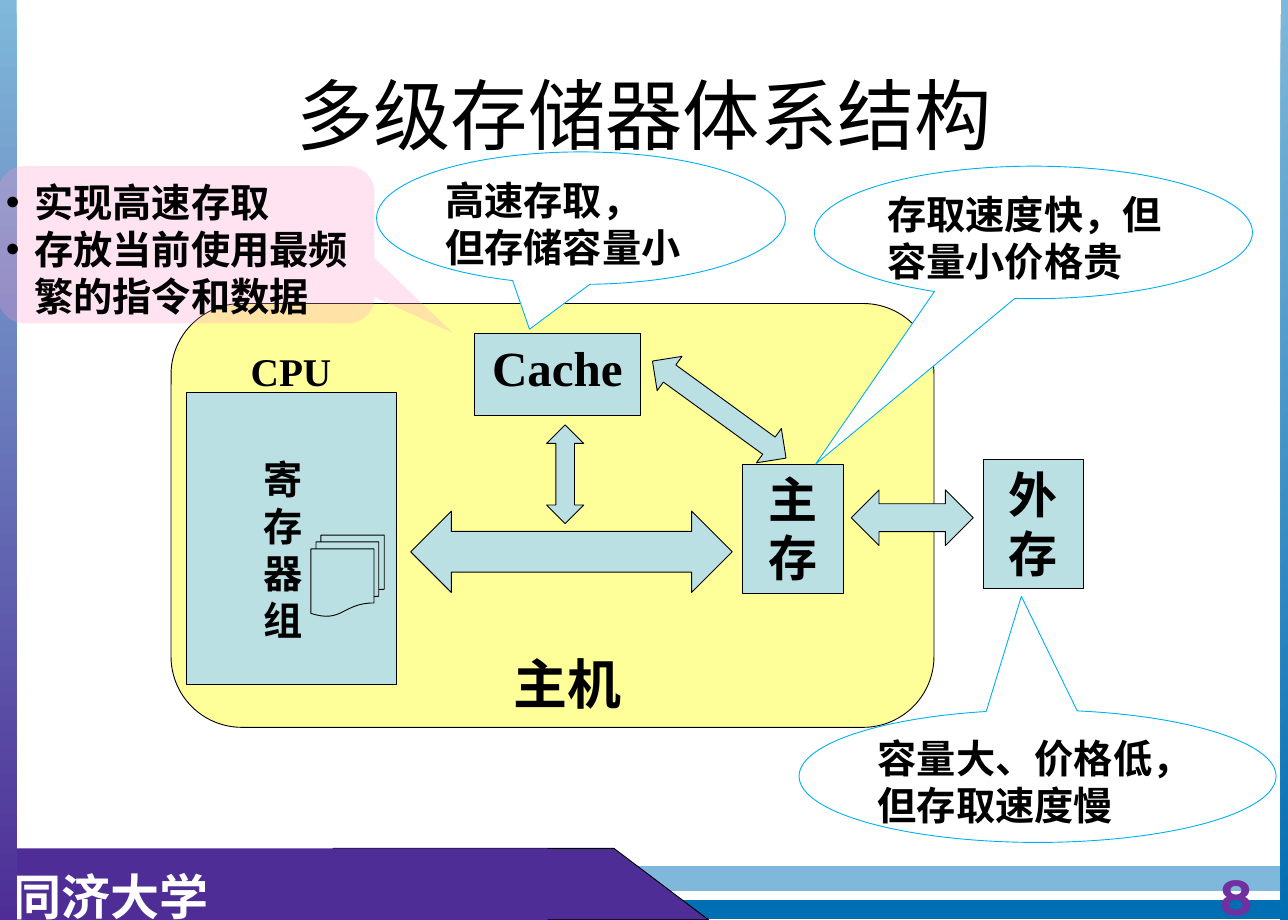
from lxml.etree import SubElement
from pptx import Presentation
from pptx.dml.color import RGBColor
from pptx.enum.shapes import MSO_CONNECTOR, MSO_SHAPE as Preset
from pptx.enum.text import MSO_ANCHOR as Anchor, PP_ALIGN as Align
from pptx.oxml.ns import qn
from pptx.util import Cm, Pt

BLACK = RGBColor(0x00, 0x00, 0x00)
WHITE = RGBColor(0xFF, 0xFF, 0xFF)
PURPLE = RGBColor(0x4E, 0x2E, 0x96)
NUMBER_PURPLE = RGBColor(0x70, 0x30, 0xA0)
LIGHT_BLUE = RGBColor(0x7F, 0xB8, 0xDA)
DEEP_BLUE = RGBColor(0x00, 0x6E, 0xB2)
CALLOUT_BLUE = RGBColor(0x00, 0xB0, 0xF0)
UNIT_BLUE = RGBColor(0xBB, 0xE0, 0xE3)
HOST_YELLOW = RGBColor(0xFF, 0xFF, 0x99)
PINK = RGBColor(0xFF, 0x99, 0xCC)

SERIF = "Times New Roman"
WIDTH, HEIGHT = 37.04, 26.46
FOOTER_TOP = 24.4
WIDE_INSETS = (0.36, 0.18)
INSETS = (0.25, 0.13)

TITLE = "多级存储器体系结构"
SCHOOL = "同济大学"
PAGE_NUMBER = "8"

# Boxes are left, top, width, height in centimetres.
FOOTER_STRIPES = [  # left, middle, thickness in points, colour
    (17.91, 26.16, 16, DEEP_BLUE),
    (16.97, 25.27, 20, LIGHT_BLUE),
]
SIDE_BARS = [  # left, width, end colour, angle
    (0, 0.48, PURPLE, 270),
    (36.83, 0.21, DEEP_BLUE, 315),
]
HOST = (4.92, 8.73, 21.94, 12.19)
UNITS = [  # preset, box, lines of text
    (Preset.RECTANGLE, (5.36, 11.3, 6.05, 8.38), []),
    (Preset.FLOWCHART_MULTIDOCUMENT, (8.94, 15.39, 2.11, 2.34), []),
    (Preset.RECTANGLE, (13.65, 9.59, 4.76, 2.35), ["Cache"]),
    (Preset.RECTANGLE, (21.35, 13.36, 2.9, 3.71), ["主", "存"]),
    (Preset.RECTANGLE, (28.27, 13.22, 2.9, 3.71), ["外", "存"]),
]
ARROWS = [  # preset, box, rotation
    (Preset.LEFT_RIGHT_ARROW, (11.81, 14.7, 9.25, 2.34), 0),
    (Preset.UP_DOWN_ARROW, (15.72, 12.22, 1.07, 2.84), 0),
    (Preset.LEFT_RIGHT_ARROW, (18.31, 11.17, 4.75, 1.22), 36),
    (Preset.LEFT_RIGHT_ARROW, (24.48, 14.09, 3.51, 1.6), 0),
]
LABELS = [  # text, box, size
    ("CPU", (6.96, 9.86, 3.96, 1.63), 32),
    ("寄存器组", (7.34, 12.95, 1.04, 5.69), 32),
    ("主机", (14.53, 18.57, 3.96, 2.13), 44),
]
CALLOUTS = [  # box, tip offsets, lines of text
    ((23.42, 4.78, 12.6, 3.81), (-0.497, 1.749), ["存取速度快，但容量小价格贵"]),
    ((22.98, 20.42, 13.72, 3.81), (-0.034, -1.358), ["容量大、价格低，但存取速度慢"]),
    ((10.83, 4.37, 11.76, 3.81), (-0.126, 0.839), ["高速存取，", "但存储容量小"]),
]
CACHE_NOTE = ["实现高速存取", "存放当前使用最频繁的指令和数据"]
CACHE_NOTE_BOX = (-0.05, 4.78, 10.82, 4.52)


def lengths(values):
    return [Cm(value) for value in values]


def add_preset(slide, preset, box, fill=None, line=None, adjustments=()):
    shape = slide.shapes.add_shape(preset, *lengths(box))
    shape.shadow.inherit = False
    if fill is not None:
        shape.fill.solid()
        shape.fill.fore_color.rgb = fill
    if line is None:
        shape.line.fill.background()
    else:
        shape.line.color.rgb = line
        shape.line.width = Pt(0.75)
    for index, value in enumerate(adjustments):
        shape.adjustments[index] = value
    return shape


def write(shape, lines, size, font=SERIF, color=BLACK, bold=True,
          align=Align.LEFT, anchor=Anchor.TOP, insets=INSETS, spacing=None):
    frame = shape.text_frame
    frame.text = "\n".join(lines)
    frame.word_wrap = True
    frame.vertical_anchor = anchor
    frame.margin_left = frame.margin_right = Cm(insets[0])
    frame.margin_top = frame.margin_bottom = Cm(insets[1])
    for paragraph in frame.paragraphs:
        paragraph.alignment = align
        if spacing:
            paragraph.line_spacing = spacing
        for run in paragraph.runs:
            run.font.name = font
            run.font.size = Pt(size)
            run.font.bold = bold
            run.font.color.rgb = color


def add_bullets(shape, indent):
    for paragraph in shape.text_frame.paragraphs:
        properties = paragraph._p.get_or_add_pPr()
        properties.set("marL", str(indent))
        properties.set("indent", str(-indent))
        SubElement(properties, qn("a:buFont")).set("typeface", "Arial")
        SubElement(properties, qn("a:buChar")).set("char", "•")


def add_frame(slide):
    """Draw the footer band and the bars at both sides."""
    for left, middle, thickness, color in FOOTER_STRIPES:
        stripe = slide.shapes.add_connector(
            MSO_CONNECTOR.STRAIGHT, *lengths((left, middle, WIDTH, middle)))
        stripe.line.color.rgb = color
        stripe.line.width = Pt(thickness)
        SubElement(stripe._element.spPr, qn("a:effectLst"))

    footer_height = HEIGHT - FOOTER_TOP
    slant = add_preset(slide, Preset.PARALLELOGRAM,
                       (9.58, FOOTER_TOP, 10.8, footer_height),
                       PURPLE, BLACK, [1.323])
    slant._element.spPr.get_or_add_xfrm().set("flipV", "1")
    school = add_preset(slide, Preset.RECTANGLE,
                        (0, FOOTER_TOP, 15.75, footer_height), PURPLE)
    write(school, [SCHOOL], 40, "Arial", WHITE, insets=WIDE_INSETS, spacing=1.2)

    for left, width, end_color, angle in SIDE_BARS:
        bar = add_preset(slide, Preset.RECTANGLE, (left, 0, width, HEIGHT))
        bar.fill.gradient()
        bar.fill.gradient_angle = angle
        for stop, color in zip(bar.fill.gradient_stops, (LIGHT_BLUE, end_color)):
            stop.color.rgb = color


def add_headings(slide):
    title = slide.shapes.title
    title.left, title.top, title.width, title.height = lengths((1.85, 1.06, 33.35, 4.41))
    write(title, [TITLE], 63, "Arial", bold=False, align=Align.CENTER,
          anchor=Anchor.MIDDLE, insets=WIDE_INSETS)
    number = slide.shapes.add_textbox(*lengths((34.06, FOOTER_TOP, 2.97, 2.06)))
    write(number, [PAGE_NUMBER], 40, "Montserrat", NUMBER_PURPLE,
          align=Align.CENTER, insets=WIDE_INSETS, spacing=1.2)


def add_diagram(slide):
    add_preset(slide, Preset.ROUNDED_RECTANGLE, HOST, HOST_YELLOW, BLACK, [0.167])
    for preset, box, lines in UNITS:
        unit = add_preset(slide, preset, box, UNIT_BLUE, BLACK)
        if lines:
            write(unit, lines, 40, align=Align.CENTER)
    for preset, box, rotation in ARROWS:
        arrow = add_preset(slide, preset, box, UNIT_BLUE, BLACK, [0.5, 0.5])
        arrow.rotation = rotation
    for text, box, size in LABELS:
        write(slide.shapes.add_textbox(*lengths(box)), [text], size)


def add_callouts(slide):
    for box, tip, lines in CALLOUTS:
        callout = add_preset(slide, Preset.OVAL_CALLOUT, box, WHITE, CALLOUT_BLUE, tip)
        write(callout, lines, 32)

    note = add_preset(slide, Preset.ROUNDED_RECTANGULAR_CALLOUT, CACHE_NOTE_BOX,
                      PINK, adjustments=(0.708, 0.561, 0.167))
    color = note._element.spPr.find(qn("a:solidFill")).find(qn("a:srgbClr"))
    SubElement(color, qn("a:alpha")).set("val", "27000")
    write(note, CACHE_NOTE, 32, "Noto Sans CJK SC", insets=(0, 0.13))
    add_bullets(note, Cm(0.81))


def main():
    presentation = Presentation()
    presentation.slide_width, presentation.slide_height = Cm(WIDTH), Cm(HEIGHT)
    slide = presentation.slides.add_slide(presentation.slide_layouts[5])
    add_frame(slide)
    add_headings(slide)
    add_diagram(slide)
    add_callouts(slide)
    presentation.save("out.pptx")


if __name__ == "__main__":
    main()
